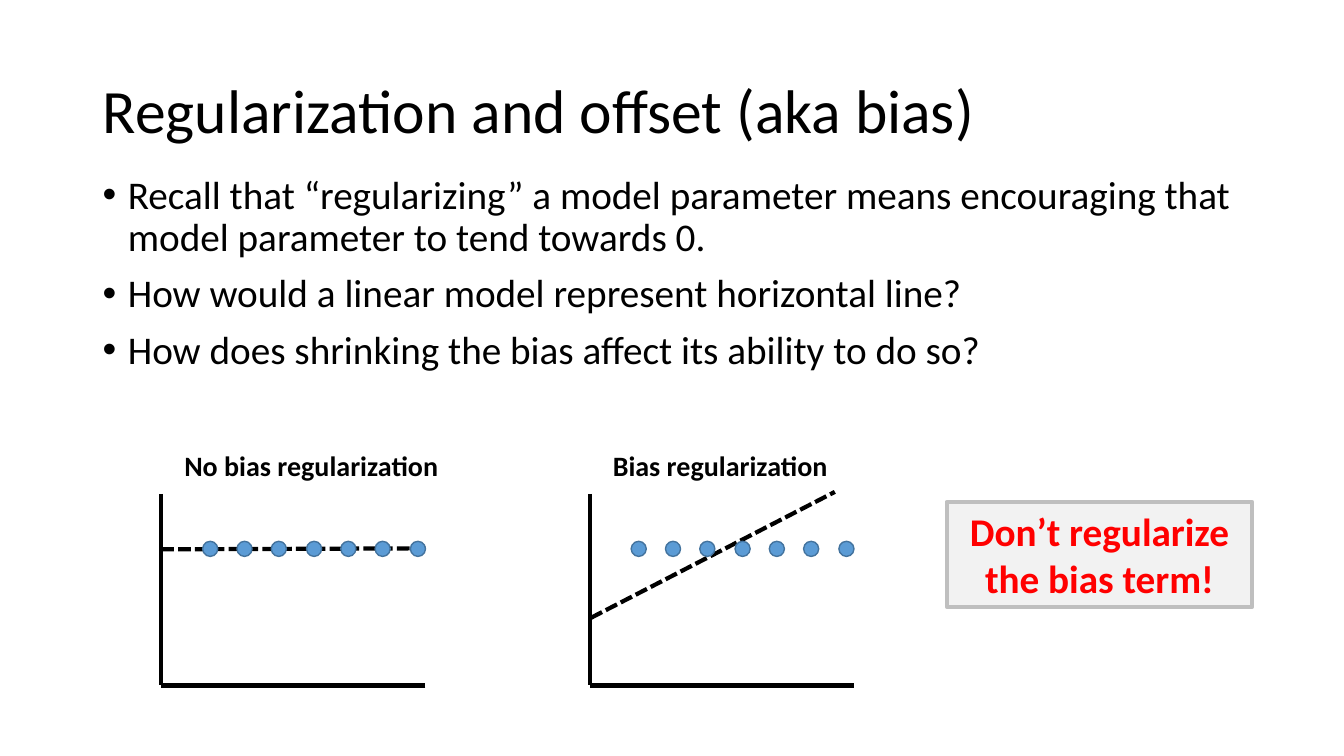
from pptx import Presentation
from pptx.dml.color import RGBColor
from pptx.enum.dml import MSO_LINE as DASH
from pptx.enum.shapes import MSO_CONNECTOR as CONN, MSO_SHAPE as SHAPE
from pptx.enum.text import MSO_ANCHOR as ANCHOR, PP_ALIGN as ALIGN
from pptx.oxml.ns import qn
from pptx.util import Pt
from lxml.etree import SubElement

PX = 9144  # EMU per px, 100 px to the inch
FONT = "Calibri"
COLORS = {
    "ink": "000000",
    "dot": "5B9BD5",
    "rim": "43739E",
    "panel": "F2F2F2",
    "edge": "BFBFBF",
    "alert": "FF0000",
}
POINTS = [
    "Recall that “regularizing” a model parameter means encouraging that "
    "model parameter to tend towards 0.",
    "How would a linear model represent horizontal line?",
    "How does shrinking the bias affect its ability to do so?",
]
# Left edge of the axes, label, ends of the fitted line
PLOTS = [
    (160, "No bias regularization", (160, 545, 422, 544)),
    (585, "Bias regularization", (586, 613, 828, 488)),
]


def color(name):
    return RGBColor.from_string(COLORS[name])


class Board:
    """Holds the slide and draws styled elements on it, in px."""

    def __init__(self, deck):
        self.slide = deck.slides.add_slide(deck.slide_layouts[5])
        self.shapes = self.slide.shapes

    def style(self, para, size, ink="ink", bold=False):
        font = para.font
        font.name, font.size, font.bold = FONT, Pt(size), bold
        font.color.rgb = color(ink)

    def title(self, text, *box):
        head = self.shapes.title
        head.left, head.top, head.width, head.height = (v * PX for v in box)
        frame = head.text_frame
        frame.text = text
        frame.vertical_anchor = ANCHOR.MIDDLE
        para = frame.paragraphs[0]
        para.alignment, para.line_spacing = ALIGN.LEFT, 0.9
        self.style(para, 44)

    def text(self, text, *box):
        frame = self.shapes.add_textbox(*(v * PX for v in box)).text_frame
        frame.word_wrap = True
        frame.text = text
        return frame.paragraphs

    def label(self, text, *box):
        self.style(self.text(text, *box)[0], 20, bold=True)

    def bullets(self, items, *box):
        for i, para in enumerate(self.text("\n".join(items), *box)):
            props = para._p.get_or_add_pPr()
            props.set("marL", str(25 * PX))
            props.set("indent", str(-25 * PX))
            SubElement(props, qn("a:buFont"), typeface="Arial")
            SubElement(props, qn("a:buChar"), char="•")
            para.line_spacing = 0.9
            para.space_before = Pt(10 if i else 0)
            self.style(para, 28)

    def line(self, *ends, dash=None):
        line = self.shapes.add_connector(CONN.STRAIGHT, *(v * PX for v in ends))
        line.line.color.rgb = color("ink")
        line.line.width = Pt(3)
        line.line.dash_style = dash
        SubElement(line._element.spPr, qn("a:effectLst"))

    def shape(self, kind, fill, edge, width, *box):
        shape = self.shapes.add_shape(kind, *(v * PX for v in box))
        shape.shadow.inherit = False
        shape.fill.solid()
        shape.fill.fore_color.rgb = color(fill)
        shape.line.color.rgb = color(edge)
        shape.line.width = Pt(width)
        return shape

    def callout(self, text, *box):
        frame = self.shape(SHAPE.RECTANGLE, "panel", "edge", 3, *box).text_frame
        frame.word_wrap = True
        frame.text = text
        para = frame.paragraphs[0]
        para.alignment = ALIGN.CENTER
        self.style(para, 28, "alert", True)

    def plot(self, left, name, fit):
        """Draw axes, a fitted line and a level row of seven dots."""
        self.line(*fit, dash=DASH.SQUARE_DOT)
        self.line(left, 490, left, 680)
        self.line(left + 262, 680, left, 680)
        for i in range(7):
            x = left + 41 + i * 103 // 3
            self.shape(SHAPE.OVAL, "dot", "rim", 1, x, 537, 15, 15)
        self.label(name, left + 13, 440, 277, 44)


def main():
    deck = Presentation()
    deck.slide_width, deck.slide_height = 1333 * PX, 750 * PX
    board = Board(deck)
    board.title("Regularization and offset (aka bias)", 92, 40, 1150, 145)
    board.bullets(POINTS, 92, 169, 1150, 553)
    for plot in PLOTS:
        board.plot(*plot)
    board.callout("Don’t regularize the bias term!", 939, 498, 303, 104)
    deck.save("out.pptx")


if __name__ == "__main__":
    main()
